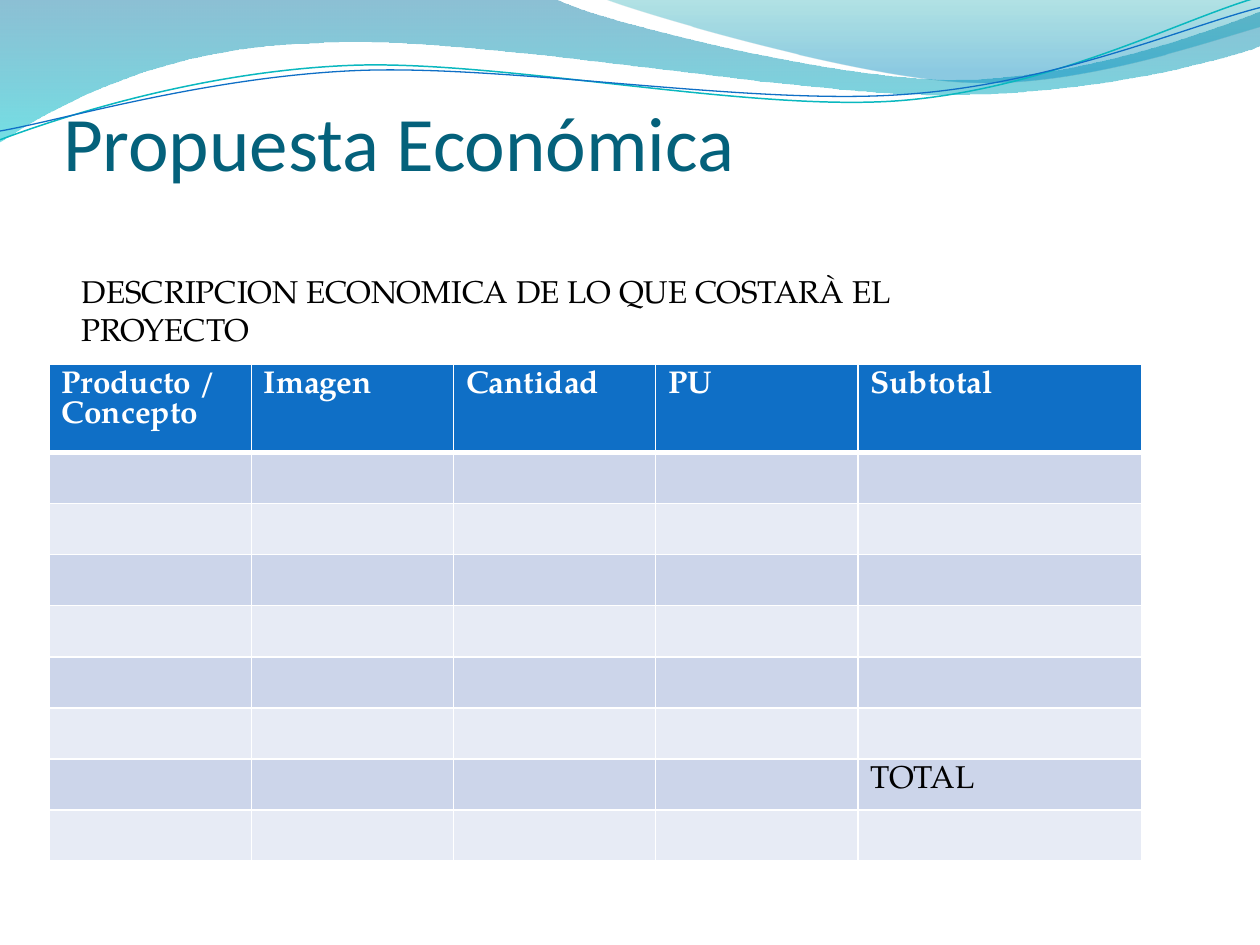
from math import cos, radians, sin

from lxml import etree
from pptx import Presentation
from pptx.dml.color import RGBColor
from pptx.enum.text import MSO_ANCHOR, MSO_AUTO_SIZE, PP_ALIGN
from pptx.oxml.ns import qn
from pptx.util import Inches, Pt

BOTTOM, LEFT = MSO_ANCHOR.BOTTOM, PP_ALIGN.LEFT
GROW = MSO_AUTO_SIZE.SHAPE_TO_FIT_TEXT
COLORS = {"title": "04617B", "text": "000000", "white": "FFFFFF",
          "blue": "0F6FC6", "teal": "0AB8BF", "odd": "CCD5EA", "even": "E7EBF5"}
SERIF = "TeX Gyre Pagella"

TITLE = "Propuesta Económica"
INTRO = "DESCRIPCION ECONOMICA DE LO QUE COSTARÀ EL PROYECTO"
HEADS = ["Producto / Concepto", "Imagen", "Cantidad", "PU", "Subtotal"]
ROWS = [[""] * 5 for _ in range(6)] + [["", "", "", "", "TOTAL"], [""] * 5]
TABLE = (0.39, 2.89, 8.67, 3.94)
LAST = 2.25  # width of the last column
ROW_SUM = 3.65  # least height of all rows; the header grows with its text

# A wave is a list of points (two numbers) and Bezier curves (six numbers).
# Gradient stops: position, colour, opacity in percent.
BANDS = [
    ((-0.01, -0.01, 10.02, 1.14),
     [(0, 0), (4.4, -0.01), (4.76, 0.17, 6.64, 0.63, 7.58, 0.63),
      (8.53, 0.63, 9.58, 0.26, 10, 0.09), (10.01, 0.36),
      (9.83, 0.44, 8.7, 0.76, 7.46, 0.75), (6.22, 0.75, 3.82, 0.28, 2.57, 0.34),
      (1.29, 0.36, 0.46, 0.83, -0.01, 1.13), (0, 0)],
     [(0, "0074A1", 45), (1, "00C6CF", 55)]),
    ((4.79, -0.01, 5.21, 0.7),
     [(4.79, -0.01), (5.09, 0.11, 6.82, 0.62, 7.69, 0.65),
      (8.56, 0.69, 9.61, 0.32, 10, 0.21), (10, 0), (4.79, -0.01)],
     [(0, "00A1A9", 30), (0.8, "008BBF", 45)]),
]
TURN = -2.7
LINES = [
    ((-0.02, 0.22, 10.02, 0.71),
     [(0, 1.11), (0.48, 0.93, 1.58, 0.57, 2.77, 0.52),
      (3.95, 0.47, 5.93, 0.89, 7.13, 0.8), (8.33, 0.71, 9.38, 0.15, 9.98, -0.02)],
     "teal", 0.85),
    ((-0.02, 0.3, 10.03, 0.58),
     [(0, 1.04), (0.47, 0.96, 1.64, 0.61, 2.83, 0.56),
      (4.03, 0.51, 5.97, 0.84, 7.17, 0.75), (8.36, 0.67, 9.41, 0.21, 10, 0.06)],
     "blue", 0.75),
]


def rgb(name):
    return RGBColor.from_string(COLORS.get(name, name))


def add_wave(slide, box, wave, turn=0, close=False):
    """Draw a wave given in slide inches inside a box turned by some degrees."""
    x, y, w, h = box
    pen = slide.shapes.build_freeform(Inches(x), Inches(y))
    pen.add_line_segments([(Inches(x + w), Inches(y + h))], close=False)
    shape = pen.convert_to_shape()
    shape.shadow.inherit = False
    shape.rotation = turn
    route = next(shape.element.iter(qn("a:path")))
    for old in list(route):
        route.remove(old)
    c, s = cos(radians(-turn)), sin(radians(-turn))
    for i, part in enumerate(wave):
        kind = "cubicBezTo" if len(part) == 6 else "lnTo" if i else "moveTo"
        step = etree.SubElement(route, qn("a:" + kind))
        for px, py in zip(part[::2], part[1::2]):
            dx, dy = px - x - w / 2, py - y - h / 2
            etree.SubElement(step, qn("a:pt"),
                             x=str(Inches(w / 2 + dx * c - dy * s)),
                             y=str(Inches(h / 2 + dx * s + dy * c)))
    if close:
        etree.SubElement(route, qn("a:close"))
    return shape


def add_band(slide, box, wave, stops):
    shape = add_wave(slide, box, wave, close=True)
    shape.line.fill.background()
    shape.fill.gradient()
    shape.fill.gradient_angle = 270
    for stop, (pos, color, _) in zip(shape.fill.gradient_stops, stops):
        stop.position = pos
        stop.color.rgb = rgb(color)
    tags = list(shape.element.spPr.iter(qn("a:srgbClr")))
    for tag, (_, _, alpha) in zip(tags, stops):
        etree.SubElement(tag, qn("a:alpha"), val=str(alpha * 1000))


def add_line(slide, box, wave, color, width):
    shape = add_wave(slide, box, wave, turn=TURN)
    shape.fill.background()
    shape.line.color.rgb = rgb(color)
    shape.line.width = Pt(width)


def put_text(frame, text, size=18, font=SERIF, color="text", bold=False):
    frame.word_wrap = True
    par = frame.paragraphs[0]
    par.alignment = LEFT
    run = par.add_run()
    run.text = text
    run.font.size, run.font.name, run.font.bold = Pt(size), font, bold
    run.font.color.rgb = rgb(color)


def set_edges(cell, base):
    props = cell._tc.get_or_add_tcPr()
    sides = [("lnL", 1), ("lnR", 1), ("lnT", 1), ("lnB", base)]
    for i, (side, width) in enumerate(sides):
        edge = etree.Element(qn("a:" + side), w=str(Pt(width)))
        fill = etree.SubElement(edge, qn("a:solidFill"))
        etree.SubElement(fill, qn("a:srgbClr"), val=COLORS["white"])
        props.insert(i, edge)


def add_costs(slide):
    data = [HEADS] + ROWS
    count = len(HEADS)
    x, y, w, h = map(Inches, TABLE)
    holder = slide.shapes.add_table(len(data), count, x, y, w, h)
    table = holder.table
    for c, col in enumerate(table.columns):
        last = c == count - 1
        col.width = Inches(LAST if last else (TABLE[2] - LAST) / (count - 1))
    for r, row in enumerate(data):
        table.rows[r].height = Inches(ROW_SUM / len(data))
        head = r == 0
        shade = "blue" if head else "odd" if r % 2 else "even"
        for c, text in enumerate(row):
            cell = table.cell(r, c)
            cell.fill.solid()
            cell.fill.fore_color.rgb = rgb(shade)
            set_edges(cell, 3 if head else 1)
            if text:
                put_text(cell.text_frame, text, bold=head,
                         color="white" if head else "text")
    holder.height = h


def main():
    deck = Presentation()
    deck.slide_width, deck.slide_height = Inches(10), Inches(7.5)
    slide = deck.slides.add_slide(deck.slide_layouts[5])
    for band in BANDS:
        add_band(slide, *band)
    for line in LINES:
        add_line(slide, *line)

    title = slide.shapes.title
    title.element.getparent().append(title.element)  # in front of the waves
    title.left, title.top = Inches(0.5), Inches(0.23)
    title.width, title.height = Inches(9), Inches(1.25)
    frame = title.text_frame
    frame.vertical_anchor = BOTTOM
    frame.margin_left = frame.margin_right = frame.margin_bottom = 0
    put_text(frame, TITLE, size=44, font="Calibri", color="title")

    intro = slide.shapes.add_textbox(
        Inches(0.55), Inches(2.11), Inches(7.77), Inches(0.4))
    put_text(intro.text_frame, INTRO)
    intro.text_frame.auto_size = GROW
    add_costs(slide)
    deck.save("out.pptx")


if __name__ == "__main__":
    main()
